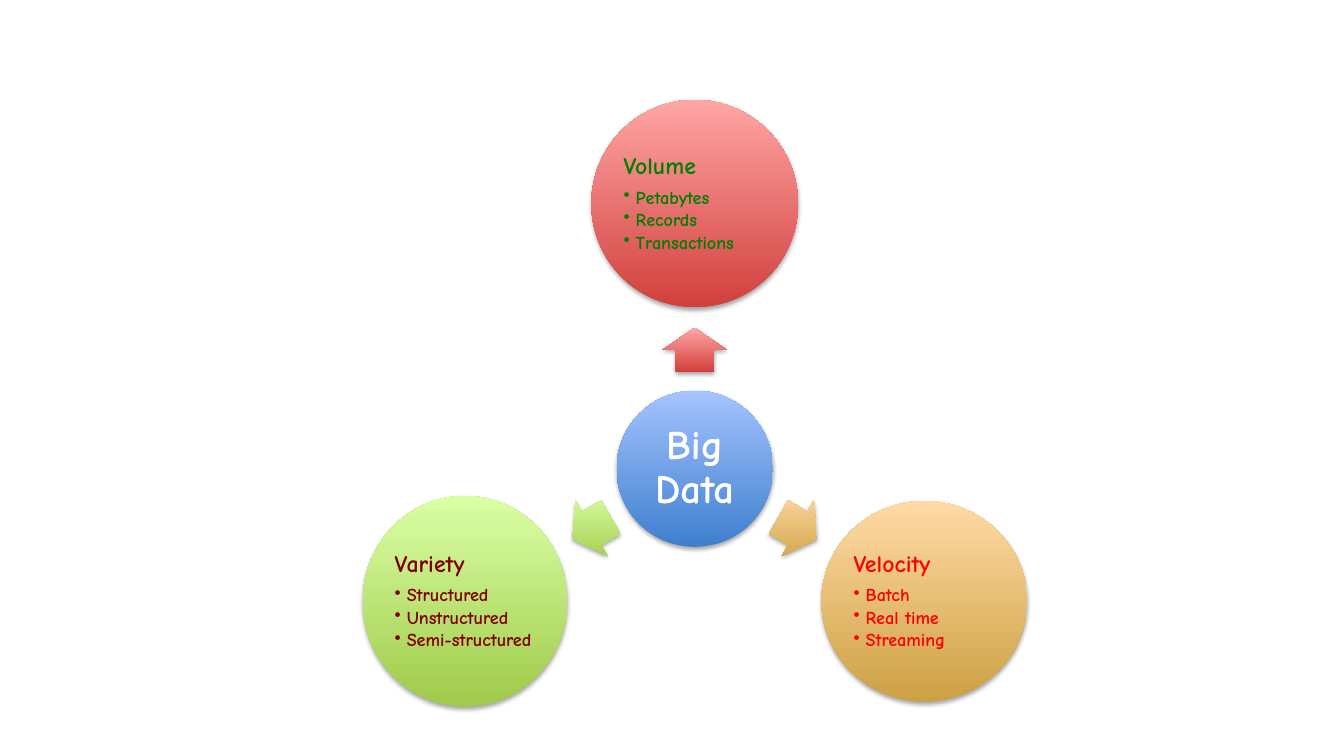
from dataclasses import dataclass
from math import cos, radians, sin

from lxml.etree import SubElement
from pptx import Presentation
from pptx.dml.color import RGBColor
from pptx.enum.shapes import MSO_SHAPE
from pptx.enum.text import MSO_ANCHOR, PP_ALIGN
from pptx.oxml.ns import qn
from pptx.util import Inches, Pt


@dataclass(frozen=True)
class Theme:
    font: str = "Comic Neue"
    hub_size: int = 29
    title_size: int = 17
    item_size: int = 13
    hub_text: str = "FFFFFF"
    hub_fill: tuple = ("3F7FCE", "A4C4FF")
    red_fill: tuple = ("D1403C", "FFA6A5")
    orange_fill: tuple = ("CDA143", "FFDAA5")
    green_fill: tuple = ("A0CA4A", "DAFFA5")
    red_text: str = "008000"
    orange_text: str = "FF0000"
    green_text: str = "800000"
    shadow: str = "000000"


THEME = Theme()
HUB_TEXT = "Big Data"
# title, items, direction from the hub, circle size, fill, text colour
SPOKES = [
    ("Volume", ["Petabytes", "Records", "Transactions"], 270, (2.05, 2.06),
     THEME.red_fill, THEME.red_text),
    ("Velocity", ["Batch", "Real time", "Streaming"], 30, (2.04, 1.99),
     THEME.orange_fill, THEME.orange_text),
    ("Variety", ["Structured", "Unstructured", "Semi-structured"], 150, (2.03, 2.09),
     THEME.green_fill, THEME.green_text),
]
HUB_CENTRE = (6.89, 4.65)
HUB_SIZE = (1.55, 1.55)
ARROW_SIZE = (0.44, 0.64)
ARROW_DISTANCE = 1.18
CIRCLE_DISTANCE = 2.63
ITEM_INDENT = 0.12


def point_at(direction, distance):
    angle = radians(direction)
    return (HUB_CENTRE[0] + distance * cos(angle),
            HUB_CENTRE[1] + distance * sin(angle))


def add_shadow(shape):
    shape.shadow.inherit = False
    effects = shape._element.spPr.find(qn("a:effectLst"))
    outer = SubElement(effects, qn("a:outerShdw"), blurRad=str(Pt(3.1)),
                       dist=str(Pt(1.8)), dir="5400000", rotWithShape="0")
    color = SubElement(outer, qn("a:srgbClr"), val=THEME.shadow)
    SubElement(color, qn("a:alpha"), val="35000")


def add_glossy(page, kind, centre, size, colors):
    """Add a centred shape, shaded from dark at the bottom to light at the top."""
    left, top = (middle - length / 2 for middle, length in zip(centre, size))
    shape = page.shapes.add_shape(kind, Inches(left), Inches(top),
                                  Inches(size[0]), Inches(size[1]))
    shape.fill.gradient()
    shape.fill.gradient_angle = 90
    for stop, color in zip(shape.fill.gradient_stops, colors):
        stop.color.rgb = RGBColor.from_string(color)
    shape._element.spPr.find(qn("a:gradFill")).set("rotWithShape", "0")
    shape.line.fill.background()
    add_shadow(shape)
    return shape


def prepare_frame(shape, inset):
    frame = shape.text_frame
    frame.word_wrap = True
    frame.vertical_anchor = MSO_ANCHOR.MIDDLE
    frame.margin_left = frame.margin_right = Inches(inset)
    frame.margin_top = frame.margin_bottom = Inches(inset)
    return frame


def write(para, text, size, color, align=PP_ALIGN.LEFT, after=0):
    para.text = text
    para.alignment = align
    para.line_spacing = 0.9
    para.space_after = Pt(after)
    para.font.name = THEME.font
    para.font.size = Pt(size)
    para.font.bold = True
    para.font.color.rgb = RGBColor.from_string(color)


def add_bullet(para):
    para.level = 1
    properties = para._p.get_or_add_pPr()
    properties.set("marL", str(Inches(ITEM_INDENT)))
    properties.set("indent", str(-Inches(ITEM_INDENT)))
    SubElement(properties, qn("a:buChar"), char="•")


def add_hub(page):
    hub = add_glossy(page, MSO_SHAPE.OVAL, HUB_CENTRE, HUB_SIZE, THEME.hub_fill)
    frame = prepare_frame(hub, 0.04)
    write(frame.paragraphs[0], HUB_TEXT, THEME.hub_size, THEME.hub_text, PP_ALIGN.CENTER)


def add_spoke(page, title, items, direction, size, fill, color):
    arrow = add_glossy(page, MSO_SHAPE.RIGHT_ARROW, point_at(direction, ARROW_DISTANCE),
                       ARROW_SIZE, fill)
    arrow.adjustments[0] = 0.6
    arrow.adjustments[1] = 0.5
    arrow.rotation = direction

    circle = add_glossy(page, MSO_SHAPE.OVAL, point_at(direction, CIRCLE_DISTANCE), size, fill)
    frame = prepare_frame(circle, 0.02)
    write(frame.paragraphs[0], title, THEME.title_size, color, after=6)
    for item in items:
        para = frame.add_paragraph()
        add_bullet(para)
        write(para, item, THEME.item_size, color, after=2)


def main():
    deck = Presentation()
    deck.slide_width, deck.slide_height = Inches(13.33), Inches(7.5)
    page = deck.slides.add_slide(deck.slide_layouts[6])
    add_hub(page)
    for spoke in SPOKES:
        add_spoke(page, *spoke)
    deck.save("out.pptx")


if __name__ == "__main__":
    main()
